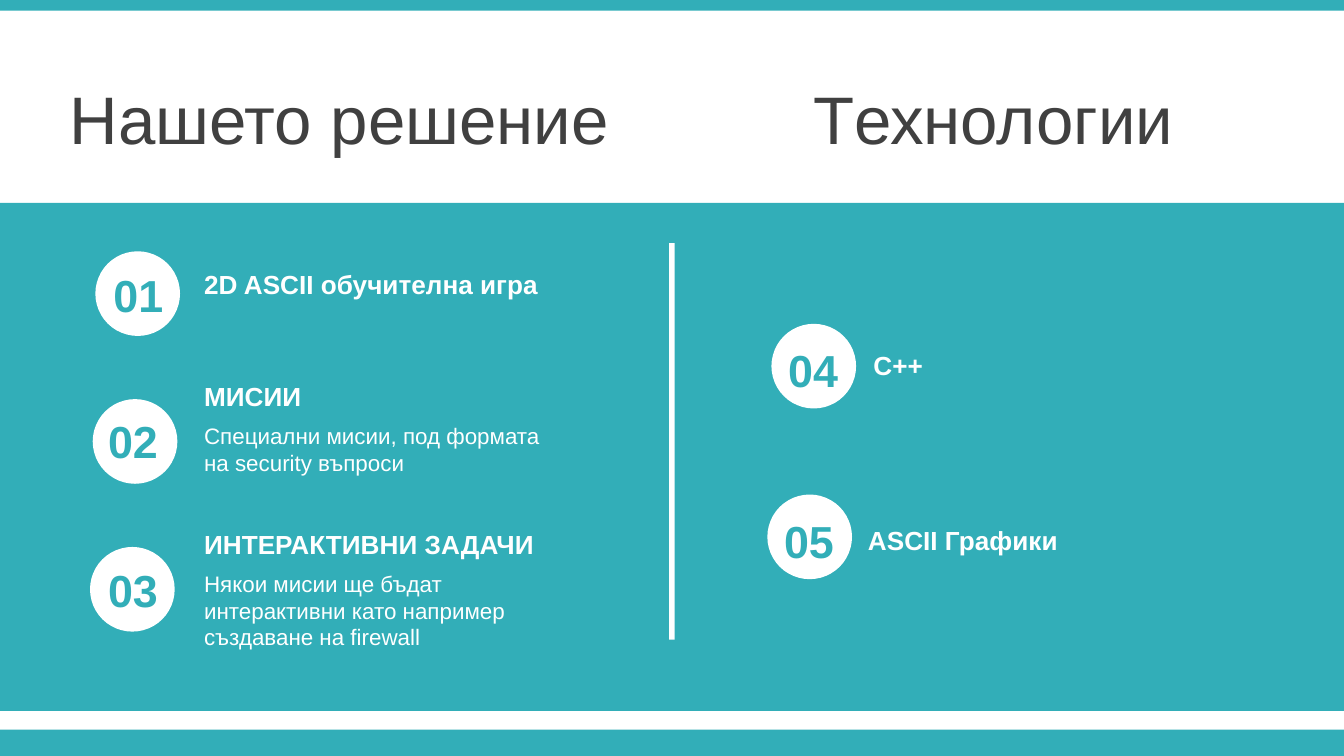
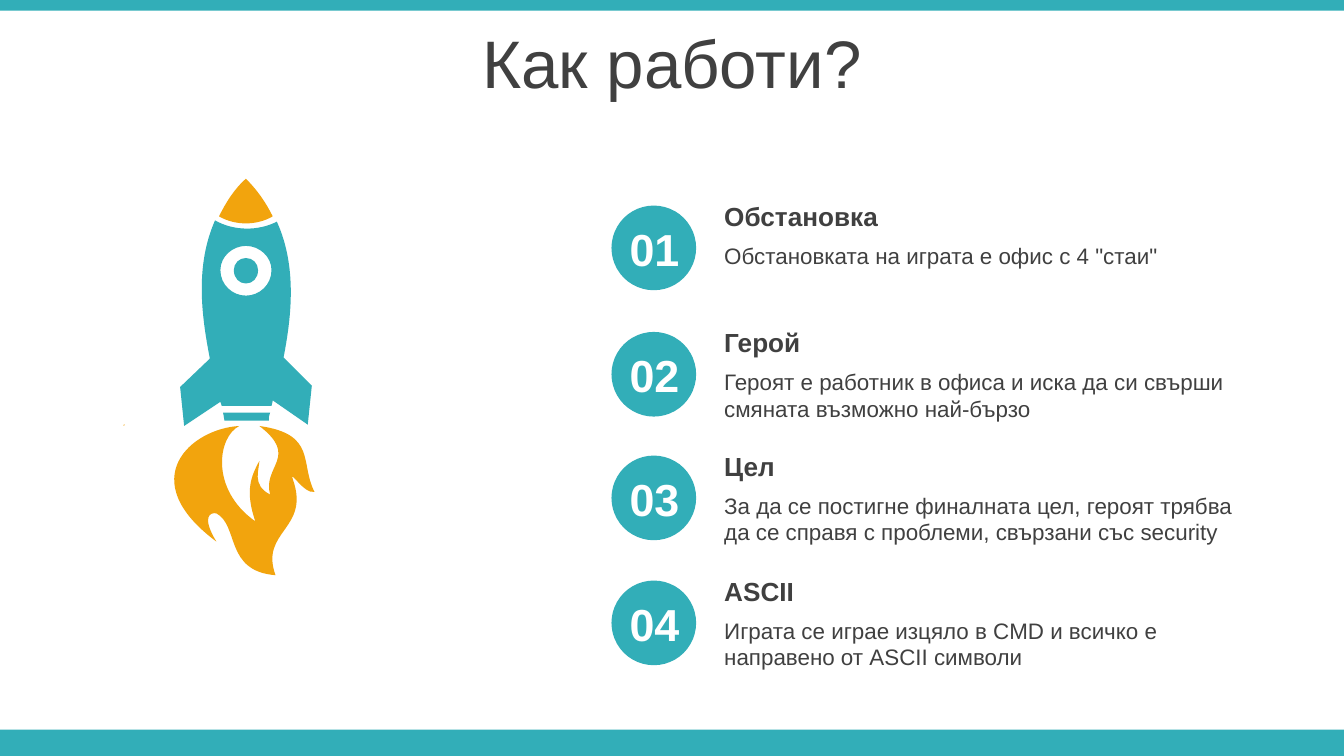
from lxml.etree import SubElement
from pptx import Presentation
from pptx.dml.color import RGBColor
from pptx.enum.shapes import MSO_SHAPE
from pptx.enum.text import MSO_ANCHOR, MSO_AUTO_SIZE, PP_ALIGN
from pptx.oxml.ns import qn
from pptx.util import Inches, Pt

TEAL = RGBColor(0x32, 0xAE, 0xB8)
ORANGE = RGBColor(0xF2, 0xA4, 0x0D)
WHITE = RGBColor(0xFF, 0xFF, 0xFF)
CHARCOAL = RGBColor(0x40, 0x40, 0x40)
FONT = "Arial"
DISC = 0.63


def add_block(slide, kind, left, top, width, height, color):
    block = slide.shapes.add_shape(
        kind, Inches(left), Inches(top), Inches(width), Inches(height))
    block.shadow.inherit = False
    block.fill.solid()
    block.fill.fore_color.rgb = color
    block.line.fill.background()
    return block


def add_label(slide, left, top, width, height, text, size, color,
              bold=True, align=PP_ALIGN.LEFT):
    frame = slide.shapes.add_textbox(
        Inches(left), Inches(top), Inches(width), Inches(height)).text_frame
    frame.word_wrap = True
    frame.auto_size = MSO_AUTO_SIZE.SHAPE_TO_FIT_TEXT
    frame.paragraphs[0].alignment = align
    run = frame.paragraphs[0].add_run()
    run.text = text
    run.font.name = FONT
    run.font.size = Pt(size)
    run.font.bold = bold
    run.font.color.rgb = color


prs = Presentation()
prs.slide_width = Inches(10)
prs.slide_height = Inches(5.625)
title_only = prs.slide_layouts[5]
solution = prs.slides.add_slide(title_only)
gameplay = prs.slides.add_slide(title_only)

for top, height in [(5.43, 0.2), (0, 0.08)]:
    band = add_block(solution, MSO_SHAPE.RECTANGLE, 0, top, 10, height, TEAL)
    title_only.shapes._spTree.append(band._element)

for slide, top, words, align in [
    (solution, 0.56, "Нашето решение\tTехнологии", PP_ALIGN.LEFT),
    (gameplay, 0.14, "Как работи?", PP_ALIGN.CENTER),
]:
    title = slide.shapes.title
    title.left, title.top = Inches(0), Inches(top)
    title.width, title.height = Inches(10), Inches(0.63)
    frame = title.text_frame
    frame.auto_size = MSO_AUTO_SIZE.NONE
    frame.vertical_anchor = MSO_ANCHOR.MIDDLE
    frame.paragraphs[0].alignment = align
    run = frame.paragraphs[0].add_run()
    run.text = words
    run.font.name = FONT
    run.font.size = Pt(36)
    run.font.color.rgb = CHARCOAL

solution_heading = solution.shapes.title.text_frame
solution_heading.margin_left = Inches(0.52)
tab_list = SubElement(solution_heading.paragraphs[0]._p.get_or_add_pPr(), qn("a:tabLst"))
SubElement(tab_list, qn("a:tab"), pos=str(Inches(5.53)), algn="l")

add_block(solution, MSO_SHAPE.RECTANGLE, 0, 1.51, 10, 3.78, TEAL)
add_block(solution, MSO_SHAPE.RECTANGLE, 4.98, 1.81, 0.04, 2.95, WHITE)

solution_items = [
    ((0.71, 1.87), (0.68, 1.94), (1.42, 1.95), "2D ASCII обучителна игра", "", 0),
    ((0.69, 2.97), (0.64, 3.03), (1.42, 2.78), "МИСИИ",
     "Специални мисии, под формата на security въпроси", 0.5),
    ((0.67, 4.07), (0.64, 4.14), (1.42, 3.88), "ИНТЕРАКТИВНИ ЗАДАЧИ",
     "Някои мисии ще бъдат интерактивни като например създаване на firewall", 0.71),
    ((5.74, 2.41), (5.7, 2.5), (6.4, 2.55), "C++", "", 0),
    ((5.71, 3.68), (5.67, 3.77), (6.36, 3.85), "ASCII Графики", "", 0),
]
gameplay_items = [
    ((4.55, top + 0.09), (4.52, top + 0.16), (5.29, top), heading, detail, height)
    for top, heading, detail, height in [
        (1.44, "Обстановка", "Обстановката на играта е офис с 4 \"стаи\"", 0.3),
        (2.38, "Герой",
         "Героят е работник в офиса и иска да си свърши смяната възможно най-бързо", 0.5),
        (3.3, "Цел",
         "За да се постигне финалната цел, героят трябва да се справя с проблеми, "
         "свързани със security", 0.5),
        (4.23, "ASCII",
         "Играта се играе изцяло в CMD и всичко е направено от ASCII символи", 0.5),
    ]
]

for slide, items, disc_color, number_color, text_color, text_width in [
    (solution, solution_items, WHITE, TEAL, WHITE, 2.91),
    (gameplay, gameplay_items, TEAL, WHITE, CHARCOAL, 4.02),
]:
    for number, item in enumerate(items, 1):
        disc_at, number_at, (left, top), heading, detail, detail_height = item
        add_block(slide, MSO_SHAPE.OVAL, *disc_at, DISC, DISC, disc_color)
        add_label(slide, *number_at, 0.7, 0.5, f"{number:02}", 24, number_color,
                  align=PP_ALIGN.CENTER)
        add_label(slide, left, top, text_width, 0.34, heading, 14, text_color)
        if detail:
            add_label(slide, left, top + 0.31, text_width, detail_height,
                      detail, 12, text_color, bold=False)

hull = [
    [(1.66, 3.07), (2.01, 3.07), (2, 3.09, 2, 3.11, 2, 3.13), (1.67, 3.13)],
    [(1.83, 1.92), (1.88, 1.92, 1.92, 1.96, 1.92, 2.01),
     (1.92, 2.07, 1.88, 2.11, 1.83, 2.11), (1.78, 2.11, 1.74, 2.07, 1.74, 2.01),
     (1.74, 1.96, 1.78, 1.92, 1.83, 1.92)],
    [(1.83, 1.83), (1.73, 1.83, 1.64, 1.91, 1.64, 2.01),
     (1.64, 2.12, 1.73, 2.2, 1.83, 2.2), (1.93, 2.2, 2.02, 2.12, 2.02, 2.01),
     (2.02, 1.91, 1.93, 1.83, 1.83, 1.83)],
    [(1.6, 1.64), (1.74, 1.72, 1.92, 1.72, 2.06, 1.65),
     (2.21, 1.98, 2.17, 2.35, 2.11, 2.66), (2.32, 2.87), (2.29, 3.16),
     (2.03, 2.98), (2.02, 3.02), (1.65, 3.02),
     (1.64, 3.01, 1.64, 3, 1.64, 2.99), (1.37, 3.17), (1.34, 2.88),
     (1.56, 2.67), (1.56, 2.67), (1.56, 2.66), (1.5, 2.35, 1.45, 1.98, 1.6, 1.64)],
]
nose = [
    [(1.83, 1.33), (1.92, 1.42, 1.98, 1.51, 2.03, 1.61),
     (1.91, 1.68, 1.75, 1.68, 1.63, 1.61), (1.68, 1.51, 1.74, 1.41, 1.83, 1.33)],
]
flame = [
    [(1.78, 3.17), (1.62, 3.25, 1.56, 3.64, 1.9, 3.88),
     (1.82, 3.65, 1.87, 3.54, 1.93, 3.43), (1.93, 3.49, 1.87, 3.61, 2.01, 3.68),
     (1.95, 3.47, 2.23, 3.4, 1.93, 3.17), (2.36, 3.23, 2.23, 3.45, 2.34, 3.66),
     (2.26, 3.68, 2.15, 3.48, 2.18, 3.57), (2.31, 3.94, 1.93, 3.95, 2.05, 4.28),
     (1.67, 4.25, 1.78, 3.91, 1.61, 3.82), (1.56, 3.81, 1.5, 3.85, 1.61, 4.03),
     (0.99, 3.57, 1.42, 3.19, 1.78, 3.17)],
    [(0.92, 3.16), (0.93, 3.16), (0.92, 3.17)],
]

for outlines, color in [(hull, TEAL), (nose, ORANGE), (flame, ORANGE)]:
    first_x, first_y = outlines[0][0]
    builder = gameplay.shapes.build_freeform(Inches(first_x), Inches(first_y))
    for index, outline in enumerate(outlines):
        ends = [(Inches(segment[-2]), Inches(segment[-1])) for segment in outline]
        if index:
            builder.move_to(*ends[0])
        builder.add_line_segments(ends[1:], close=True)
    rocket_part = builder.convert_to_shape()
    rocket_part.shadow.inherit = False
    rocket_part.fill.solid()
    rocket_part.fill.fore_color.rgb = color
    rocket_part.line.fill.background()

    segments = [segment for outline in outlines for segment in outline[1:]]
    edges = list(rocket_part._element.iter(qn("a:lnTo")))
    for edge, segment in zip(edges, segments):
        if len(segment) == 6:
            curve = SubElement(edge.getparent(), qn("a:cubicBezTo"))
            for x, y in zip(segment[::2], segment[1::2]):
                SubElement(curve, qn("a:pt"), x=str(Inches(x) - rocket_part.left),
                           y=str(Inches(y) - rocket_part.top))
            edge.getparent().replace(edge, curve)

prs.save("out.pptx")
